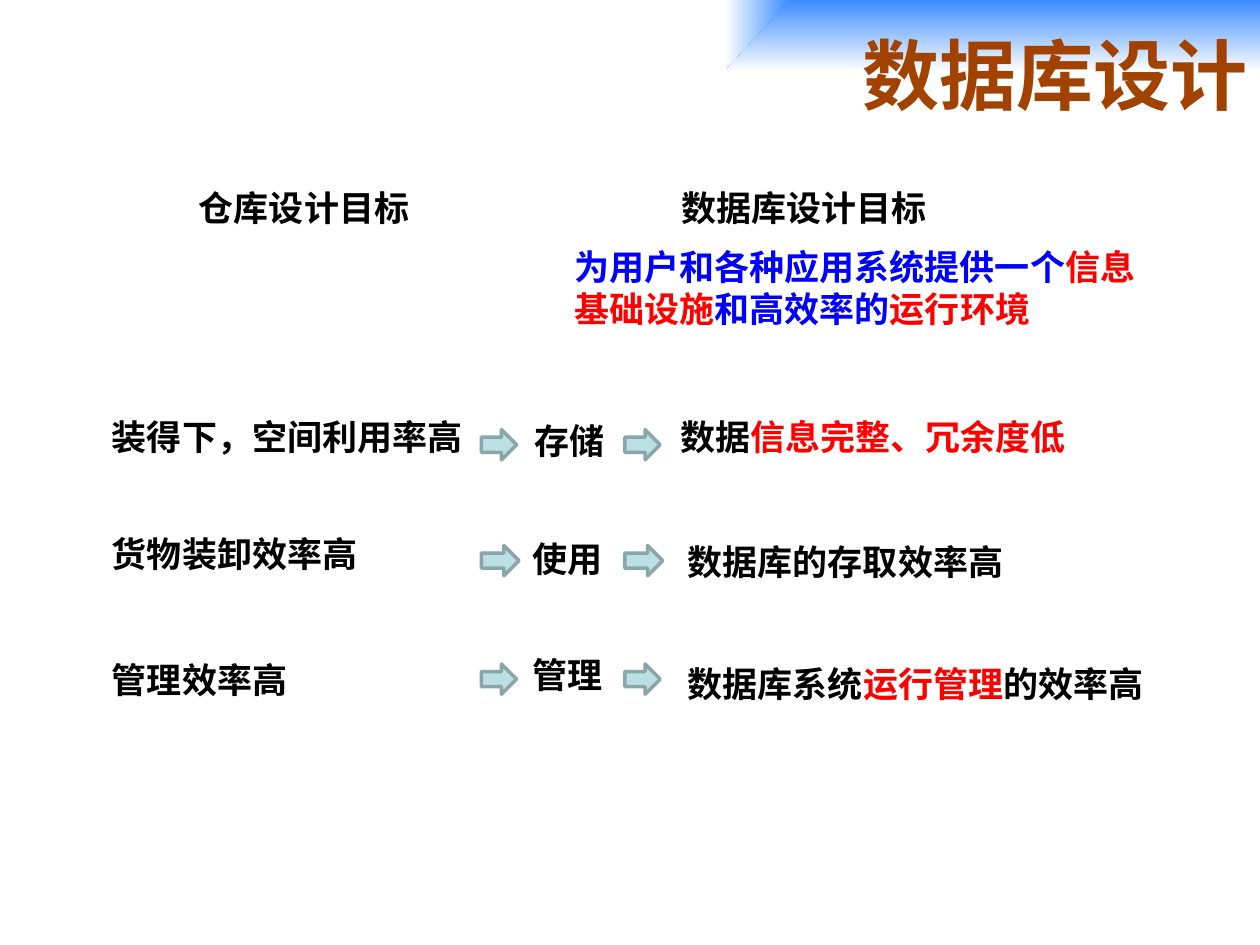
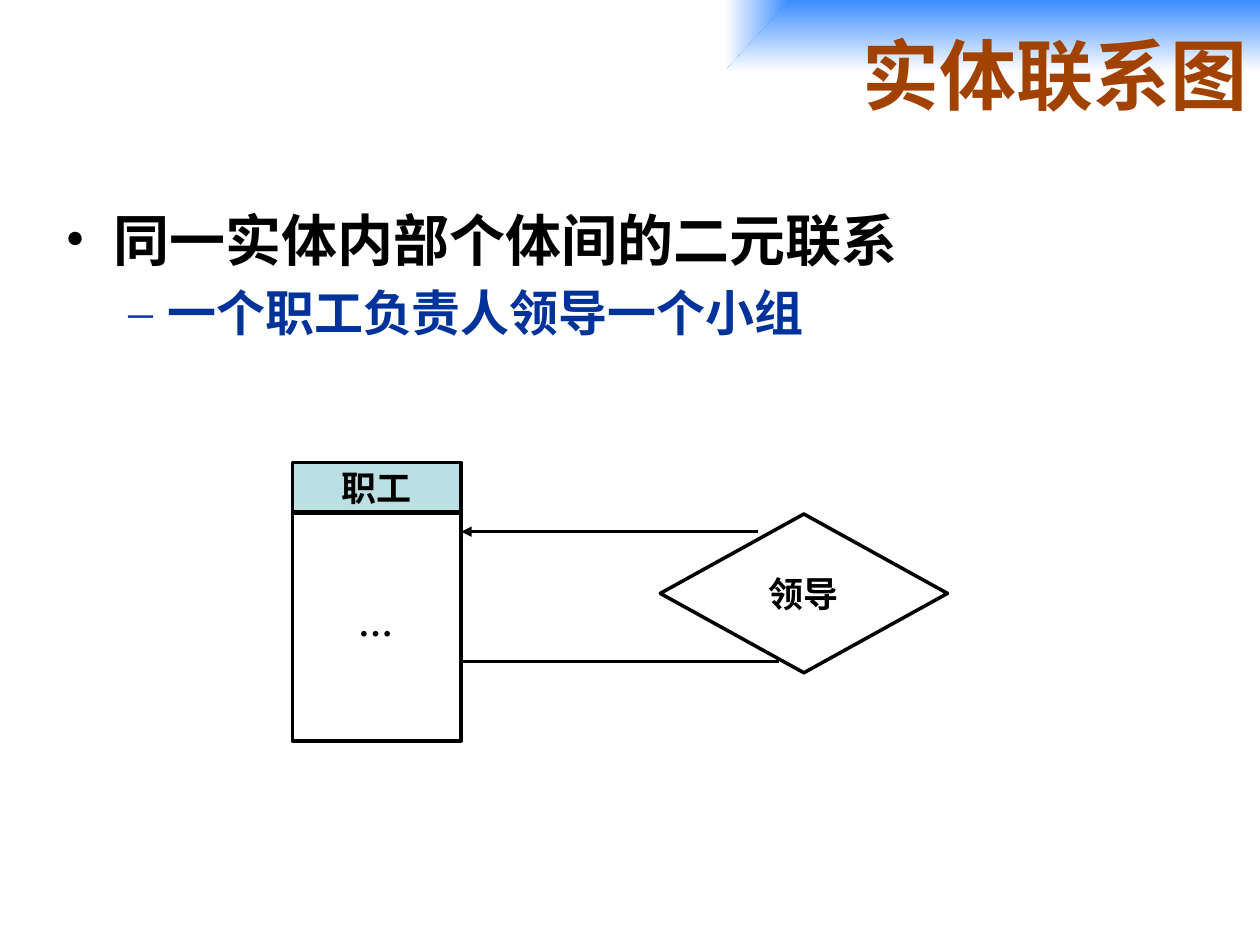
import dataclasses

import lxml.etree
import pptx
import pptx.dml.color
import pptx.enum.shapes
import pptx.enum.text
import pptx.oxml.ns
import pptx.util

Inches = pptx.util.Inches
Pt = pptx.util.Pt
Align = pptx.enum.text.PP_ALIGN
Anchor = pptx.enum.text.MSO_ANCHOR
Preset = pptx.enum.shapes.MSO_SHAPE
qn = pptx.oxml.ns.qn


@dataclasses.dataclass(frozen=True)
class Theme:
    title: str = "A24200"
    black: str = "000000"
    white: str = "FFFFFF"
    red: str = "FF0000"
    blue: str = "0000FF"
    navy: str = "003399"
    band: str = "3B8CFF"
    pale: str = "BBE0E3"
    arrow_line: str = "8AA6A8"
    title_size: int = 44
    heading_size: int = 32
    detail_size: int = 28
    text_size: int = 20
    line_height: float = 1.2
    body_font: str = "Noto Sans CJK JP"
    label_font: str = "Noto Sans CJK SC"
    latin_font: str = "Times New Roman"


THEME = Theme()


def color(value):
    return pptx.dml.color.RGBColor.from_string(value)


def apply_format(target, values):
    for name, value in values.items():
        setattr(target, name, value)


def add_runs(paragraph, runs, size, latin, east_asian):
    for text, run_color in runs:
        run = paragraph.add_run()
        run.text = text
        apply_format(run.font, {"size": Pt(size), "bold": True, "name": latin})
        run.font.color.rgb = color(run_color)
        properties = run.font._element
        lxml.etree.SubElement(properties, qn("a:ea"), typeface=east_asian)


def add_text(slide, box, runs, size=THEME.text_size, font=THEME.body_font,
             indent=0, wrap=True):
    shape = slide.shapes.add_textbox(*map(Inches, box))
    shape.text_frame.word_wrap = wrap
    paragraph = shape.text_frame.paragraphs[0]
    paragraph.line_spacing = Pt(size * THEME.line_height)
    if indent:
        paragraph._p.get_or_add_pPr().set("marL", str(Inches(indent)))
    add_runs(paragraph, runs, size, font, font)
    return shape


def add_preset(slide, preset, box, fill, line, text=None):
    shape = slide.shapes.add_shape(preset, *map(Inches, box))
    shape.shadow.inherit = False
    shape.fill.solid()
    shape.fill.fore_color.rgb = color(fill)
    shape.line.color.rgb = color(line)
    shape.line.width = Pt(2)
    if text:
        shape.text_frame.vertical_anchor = Anchor.MIDDLE
        paragraph = shape.text_frame.paragraphs[0]
        paragraph.alignment = Align.CENTER
        add_runs(paragraph, [(text, THEME.black)], THEME.text_size,
                 THEME.latin_font, THEME.label_font)


def add_line(slide, start, end, arrow_at_start=False):
    connector = slide.shapes.add_connector(
        pptx.enum.shapes.MSO_CONNECTOR.STRAIGHT, *map(Inches, start + end))
    connector.line.color.rgb = color(THEME.black)
    connector.line.width = Pt(1.5)
    if arrow_at_start:
        lxml.etree.SubElement(connector.line._get_or_add_ln(),
                              qn("a:headEnd"), type="triangle")
    lxml.etree.SubElement(connector._element.spPr, qn("a:effectLst"))


def add_gradient_outline(slide, points, stops, angle):
    corners = [tuple(map(Inches, point)) for point in points]
    builder = slide.shapes.build_freeform(*corners[0])
    builder.add_line_segments(corners[1:], close=True)
    shape = builder.convert_to_shape()
    shape.shadow.inherit = False
    shape.line.fill.background()
    shape.fill.gradient()
    shape.fill.gradient_angle = angle
    for stop, value in zip(shape.fill.gradient_stops, stops):
        stop.color.rgb = color(value)


def add_titled_slide(presentation, title):
    slide = presentation.slides.add_slide(presentation.slide_layouts[6])
    left, corner, right, bottom = 5.75, 6.27, 10, 0.57
    add_gradient_outline(slide, [(left, 0), (corner, 0), (left, bottom)],
                         (THEME.white, THEME.band), 0)
    add_gradient_outline(
        slide, [(corner, 0), (right, 0), (right, bottom), (left, bottom)],
        (THEME.band, THEME.white), 270)
    shape = slide.shapes.add_textbox(*map(Inches, (1.46, 0, 8.54, 1.17)))
    apply_format(shape.text_frame,
                 {"word_wrap": True, "vertical_anchor": Anchor.MIDDLE})
    paragraph = shape.text_frame.paragraphs[0]
    paragraph.alignment = Align.RIGHT
    add_runs(paragraph, [(title, THEME.title)], THEME.title_size,
             THEME.label_font, THEME.label_font)
    return slide


def add_bullets(slide, box, items):
    frame = slide.shapes.add_textbox(*map(Inches, box)).text_frame
    frame.word_wrap = True
    for index, (text, text_color, size, bullet, margin, hanging) in enumerate(items):
        paragraph = frame.add_paragraph() if index else frame.paragraphs[0]
        apply_format(paragraph, {
            "line_spacing": Pt(size * THEME.line_height),
            "space_before": Pt(0.2 * size if index else 0),
        })
        properties = paragraph._p.get_or_add_pPr()
        properties.set("marL", str(Inches(margin)))
        properties.set("indent", str(Inches(-hanging)))
        lxml.etree.SubElement(properties, qn("a:buFont"), typeface=THEME.latin_font)
        lxml.etree.SubElement(properties, qn("a:buChar"), char=bullet)
        add_runs(paragraph, [(text, text_color)], size,
                 THEME.body_font, THEME.body_font)


def build_design_goals(presentation):
    slide = add_titled_slide(presentation, "数据库设计")
    black, red, blue = THEME.black, THEME.red, THEME.blue
    add_text(slide, (5.31, 1.43, 2.44, 0.44), [("数据库设计目标", black)])
    add_text(slide, (1.48, 1.43, 1.89, 0.44), [("仓库设计目标", black)])
    add_text(slide, (3.96, 1.9, 5.16, 0.77), [
        ("为用户和各种应用系统提供一个", blue), ("信息基础设施", red),
        ("和高效率的", blue), ("运行环境", red)], indent=0.5)

    rows = [
        ("装得下，空间利用率高", 3.25, "存储", (4.14, 3.28), (3.41, 0.28),
         (5.3, 3.25), [("数据", black), ("信息完整、冗余度低", red)]),
        ("货物装卸效率高", 4.18, "使用", (4.13, 4.22), (4.33, 0.3),
         (5.36, 4.24), [("数据库的存取效率高", black)]),
        ("管理效率高", 5.18, "管理", (4.13, 5.14), (5.27, 0.28),
         (5.36, 5.21), [("数据库系统", black), ("运行管理", red),
                        ("的效率高", black)]),
    ]
    for goal, goal_top, aspect, aspect_at, arrow, database_at, runs in rows:
        arrow_top, arrow_width = arrow
        add_text(slide, (0.79, goal_top, 3.39, 0.44), [(goal, black)])
        add_text(slide, (*aspect_at, 0.94, 0.44), [(aspect, black)],
                 font=THEME.label_font)
        add_text(slide, (*database_at, 4.1, 0.44), runs)
        for arrow_left in (3.82, 4.96):
            add_preset(slide, Preset.RIGHT_ARROW,
                       (arrow_left, arrow_top, arrow_width, 0.24),
                       THEME.pale, THEME.arrow_line)


def build_entity_diagram(presentation):
    slide = add_titled_slide(presentation, "实体联系图")
    add_bullets(slide, (0.42, 1.58, 9, 1.34), [
        ("同一实体内部个体间的二元联系", THEME.black, THEME.heading_size,
         "•", 0.38, 0.38),
        ("一个职工负责人领导一个小组", THEME.navy, THEME.detail_size,
         "–", 0.81, 0.31),
    ])
    add_preset(slide, Preset.FLOWCHART_DECISION, (5.24, 4.08, 2.28, 1.26),
               THEME.white, THEME.black, "领导")
    entity_left, entity_width = 2.32, 1.34
    entity_right = entity_left + entity_width
    add_line(slide, (entity_right, 4.22), (6.02, 4.22), arrow_at_start=True)
    add_line(slide, (entity_right, 5.25), (6.18, 5.25))
    add_preset(slide, Preset.RECTANGLE, (entity_left, 3.67, entity_width, 0.39),
               THEME.pale, THEME.black, "职工")
    add_preset(slide, Preset.RECTANGLE, (entity_left, 4.07, entity_width, 1.81),
               THEME.white, THEME.black)
    add_text(slide, (2.75, 4.81, 0.48, 0.44), [("…", THEME.black)],
             font=THEME.label_font, wrap=False)


def main():
    presentation = pptx.Presentation()
    apply_format(presentation,
                 {"slide_width": Inches(10), "slide_height": Inches(7.5)})
    build_design_goals(presentation)
    build_entity_diagram(presentation)
    presentation.save("out.pptx")


if __name__ == "__main__":
    main()
